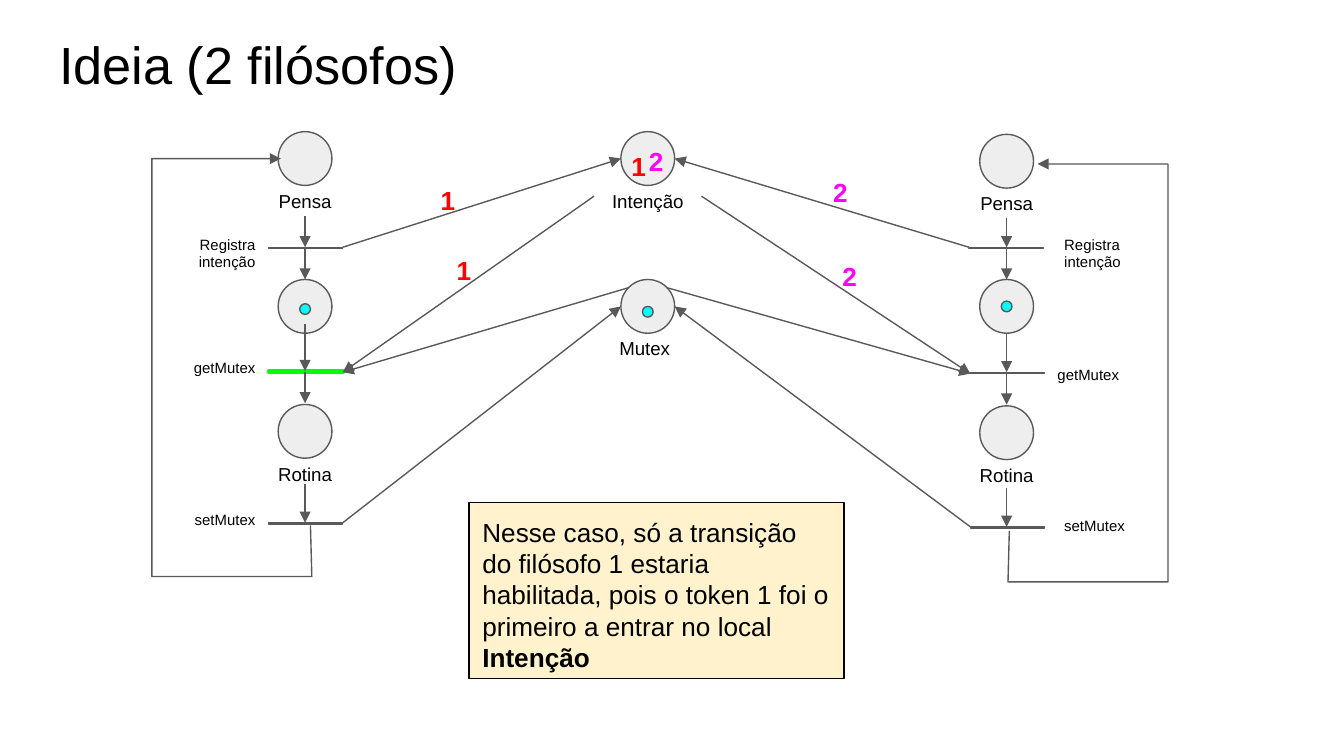
from pptx import Presentation, util as u
from pptx.dml.color import RGBColor
from pptx.enum import shapes as s, text as t
from pptx.oxml.ns import qn
from lxml import etree

PX = 9144
GREY, PALE, CYAN = "595959", "EEEEEE", "00FFFF"
RED, PINK, GREEN = "FF0000", "FF00FF", "00FF00"
LEFT, RIGHT = t.PP_ALIGN.LEFT, t.PP_ALIGN.RIGHT
MID = t.PP_ALIGN.CENTER

TITLE = "Ideia (2 filósofos)"
NOTE = ("Nesse caso, só a transição do filósofo 1 estaria habilitada, "
        "pois o token 1 foi o primeiro a entrar no local ", "Intenção")

PLACES = [
    (482, 228, "Mutex", 451, 61, LEFT), (482, 118, "Intenção", 442, 80, MID),
    (227, 118, "Pensa", 187, 80, MID), (227, 228, "", 187, 80, MID),
    (227, 321, "Rotina", 187, 80, MID), (749, 120, "Pensa", 709, 80, MID),
    (749, 228, "", 709, 80, MID), (749, 322, "Rotina", 709, 80, MID),
]
STEPS = [
    (200, 184, GREY, 0.75), (200, 276, GREEN, 2.25), (200, 389, GREY, 0.75),
    (721, 184, GREY, 0.75), (722, 277, GREY, 0.75), (722, 392, GREY, 0.75),
]
NAMES = [
    (120, 165, "Registra intenção", RIGHT), (120, 257, "getMutex", RIGHT),
    (120, 370, "setMutex", RIGHT),
    (782, 165, "Registra intenção", LEFT), (777, 262, "getMutex", LEFT),
    (782, 374, "setMutex", LEFT),
]
DROPS = {
    227: [(161, 184), (185, 208), (241, 276), (277, 300), (360, 389)],
    749: [(162, 184), (185, 208), (248, 277), (278, 301), (363, 392)],
}
ARCS = [
    (468, 214, 255, 277), (496, 214, 722, 278),
    (442, 146, 255, 277), (522, 146, 722, 278),
    (255, 184, 462, 118), (721, 184, 502, 118),
    (255, 389, 462, 228), (722, 392, 502, 228),
]
LOOPS = [
    [(231, 391), (232, 429), (113, 429), (113, 118), (209, 118)],
    [(751, 395), (750, 433), (869, 433), (869, 122), (772, 122)],
]
DOTS = [(482, 232), (749, 228), (227, 230)]
MARKS = [
    (318, 127, "1", RED), (330, 179, "1", RED), (610, 121, "2", PINK),
    (617, 184, "2", PINK), (460, 102, "1", RED), (473, 98, "2", PINK),
]

deck = Presentation()
deck.slide_width = 1000 * PX
deck.slide_height = deck.slide_width * 9 // 16
slide = deck.slides.add_slide(deck.slide_layouts[5])
items = slide.shapes


def color(code):
    return RGBColor.from_string(code)


def box(*dims):
    return [round(d * PX) for d in dims]


def stroke(shape, code=GREY, width=0.75):
    shape.line.color.rgb = color(code)
    shape.line.width = u.Pt(width)


def arrow(shape):
    stroke(shape)
    ln = shape.line._get_or_add_ln()
    etree.SubElement(ln, qn("a:tailEnd"), type="triangle")


def solid(kind, dims, fill, line=GREY, width=0.75):
    shape = items.add_shape(kind, *box(*dims))
    shape.shadow.inherit = False
    shape.fill.solid()
    shape.fill.fore_color.rgb = color(fill)
    stroke(shape, line, width)
    return shape


def disc(x, y, size, fill):
    solid(s.MSO_SHAPE.OVAL, (x - size / 2, y - size / 2, size, size), fill)


def write(shape, parts, size, code="000000", align=LEFT, bold=False):
    frame = shape.text_frame
    frame.word_wrap = True
    frame.auto_size = t.MSO_AUTO_SIZE.NONE
    frame.vertical_anchor = t.MSO_ANCHOR.TOP
    frame.margin_left = frame.margin_right = 10 * PX
    frame.margin_top = frame.margin_bottom = 10 * PX
    para = frame.paragraphs[0]
    para.alignment = align
    font = para.font
    font.name, font.size, font.bold = "Arial", u.Pt(size), bold
    font.color.rgb = color(code)
    for part in parts:
        para.add_run().text = part
    return para


def label(dims, words, size, **style):
    write(items.add_textbox(*box(*dims)), [words], size, **style)


def link(x1, y1, x2, y2):
    line = items.add_connector(s.MSO_CONNECTOR.STRAIGHT, *box(x1, y1, x2, y2))
    arrow(line)
    etree.SubElement(line._element.spPr, qn("a:effectLst"))


head = items.title
head.left, head.top, head.width, head.height = box(34, 14, 932, 63)
write(head, [TITLE], 28)

for x, y, name, left, width, align in PLACES:
    disc(x, y, 40, PALE)
    if name:
        label((left, y + 13, width, 29), name, 10, align=align)
for x, y, code, width in STEPS:
    solid(s.MSO_SHAPE.RECTANGLE, (x, y, 55, 1), PALE, code, width)
for x, y, name, align in NAMES:
    label((x, y, 80, 29), name, 8, align=align)
for x, spans in DROPS.items():
    for top, end in spans:
        link(x, top, x, end)
for arc in ARCS:
    link(*arc)
for first, *rest in LOOPS:
    pen = items.build_freeform(*first, scale=PX)
    pen.add_line_segments(rest, close=False)
    loop = pen.convert_to_shape()
    loop.shadow.inherit = False
    loop.fill.background()
    arrow(loop)
for x, y in DOTS:
    disc(x, y, 8, CYAN)
for x, y, mark, code in MARKS:
    label((x, y, 36, 34), mark, 14, code=code, bold=True)

note = solid(s.MSO_SHAPE.RECTANGLE, (349, 374, 279, 131), "FFF2CC", "000000")
write(note, NOTE, 14).runs[1].font.bold = True

deck.save("out.pptx")
